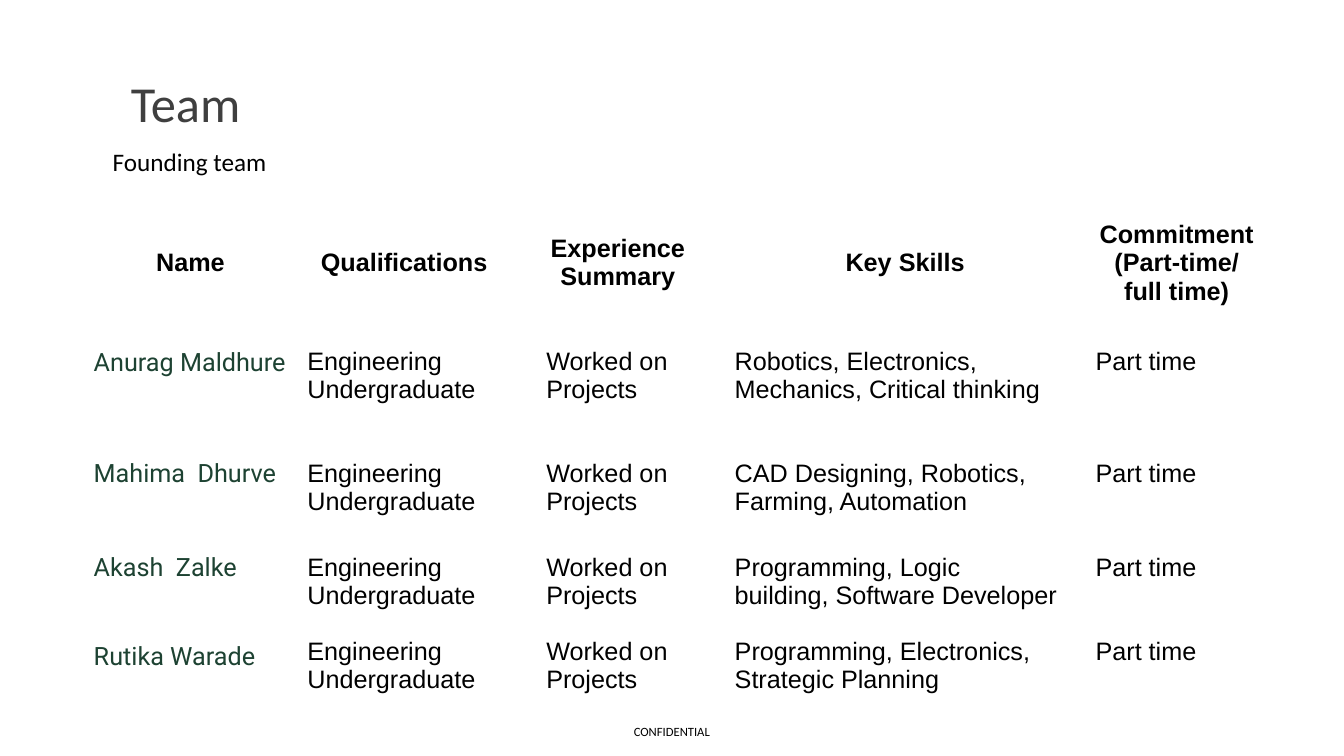
from pptx import Presentation
from pptx.dml.color import RGBColor
from pptx.enum.text import MSO_ANCHOR, PP_ALIGN
from pptx.util import Pt

TOP, MIDDLE, BOTTOM = MSO_ANCHOR.TOP, MSO_ANCHOR.MIDDLE, MSO_ANCHOR.BOTTOM
LEFT, CENTER = PP_ALIGN.LEFT, PP_ALIGN.CENTER

BLACK = "000000"
GREEN = "1D4232"
GRAY = "3F3F3F"

COLUMN_WIDTHS = [152.64, 152.64, 152.64, 257.76, 130.32]
ROW_HEIGHTS = [113.76, 79.92, 67, 110]
MEMBER_GAPS = [42.3, 20, 20, 20, 40]
EXPERIENCE_COLUMN = 2

HEADERS = [
    "Name",
    "Qualifications",
    "Experience Summary",
    "Key Skills",
    "Commitment\n(Part-time/full time)",
]
TEAM_ROWS = [
    [("Anurag Maldhure", "Robotics, Electronics,\nMechanics, Critical thinking")],
    [("Mahima  Dhurve", "CAD Designing, Robotics,\nFarming, Automation")],
    [
        ("Akash  Zalke", "Programming, Logic\nbuilding, Software Developer"),
        ("Rutika Warade", "Programming, Electronics,\nStrategic Planning"),
    ],
]


def color(hex_string):
    return RGBColor.from_string(hex_string)


def style(paragraph, font_name, size, hex_string, align=LEFT, bold=False):
    paragraph.alignment = align
    font = paragraph.font
    font.name = font_name
    font.size = Pt(size)
    font.bold = bold
    font.color.rgb = color(hex_string)


def add_label(slide, text, box, size, hex_string, anchor=TOP, align=LEFT):
    frame = slide.shapes.add_textbox(*map(Pt, box)).text_frame
    frame.word_wrap = True
    frame.vertical_anchor = anchor
    paragraph = frame.paragraphs[0]
    paragraph.text = text
    style(paragraph, "Calibri", size, hex_string, align)
    return paragraph


def fill_header(cell, text):
    cell.vertical_anchor = MIDDLE
    cell.text = text
    for paragraph in cell.text_frame.paragraphs:
        style(paragraph, "Arial", 18, BLACK, CENTER, True)


def fill_entries(cell, entries, column):
    cell.text = "\n".join(entries)
    paragraphs = cell.text_frame.paragraphs
    for paragraph in paragraphs:
        if column == 0:
            style(paragraph, "Roboto", 18, GREEN)
        else:
            style(paragraph, "Arial", 18, BLACK)
        if column == EXPERIENCE_COLUMN:
            properties = paragraph._p.get_or_add_pPr()
            properties.set("marL", str(Pt(18)))
            properties.set("indent", "0")
    first_line = 0
    for entry in entries[:-1]:
        first_line += len(entry.split("\n"))
        paragraphs[first_line].space_before = Pt(MEMBER_GAPS[column])


def add_team_table(slide):
    table = slide.shapes.add_table(
        len(ROW_HEIGHTS), len(COLUMN_WIDTHS), Pt(59.76), Pt(131.04),
        Pt(sum(COLUMN_WIDTHS)), Pt(sum(ROW_HEIGHTS)),
    ).table
    table.first_row = table.horz_banding = False
    for column, width in zip(table.columns, COLUMN_WIDTHS):
        column.width = Pt(width)
    for row, height in zip(table.rows, ROW_HEIGHTS):
        row.height = Pt(height)
    for cell in table.iter_cells():
        cell.fill.background()
    for column, header in enumerate(HEADERS):
        fill_header(table.cell(0, column), header)
    for row, members in enumerate(TEAM_ROWS, start=1):
        profiles = [
            (name, "Engineering Undergraduate", "Worked on Projects", skills, "Part time")
            for name, skills in members
        ]
        for column, entries in enumerate(zip(*profiles)):
            fill_entries(table.cell(row, column), entries, column)


def main():
    presentation = Presentation()
    presentation.slide_width = Pt(960)
    presentation.slide_height = Pt(540)
    slide = presentation.slides.add_slide(presentation.slide_layouts[6])
    add_team_table(slide)
    title = add_label(slide, "Team", (86.4, 22.32, 792, 76.32), 36, GRAY, BOTTOM)
    title.line_spacing = 0.85
    add_label(slide, "CONFIDENTIAL", (290.16, 508.32, 379.44, 28.8), 9, BLACK, MIDDLE, CENTER)
    add_label(slide, "Founding team", (73.44, 100.8, 126, 28.8), 18, BLACK)
    presentation.save("out.pptx")


if __name__ == "__main__":
    main()
